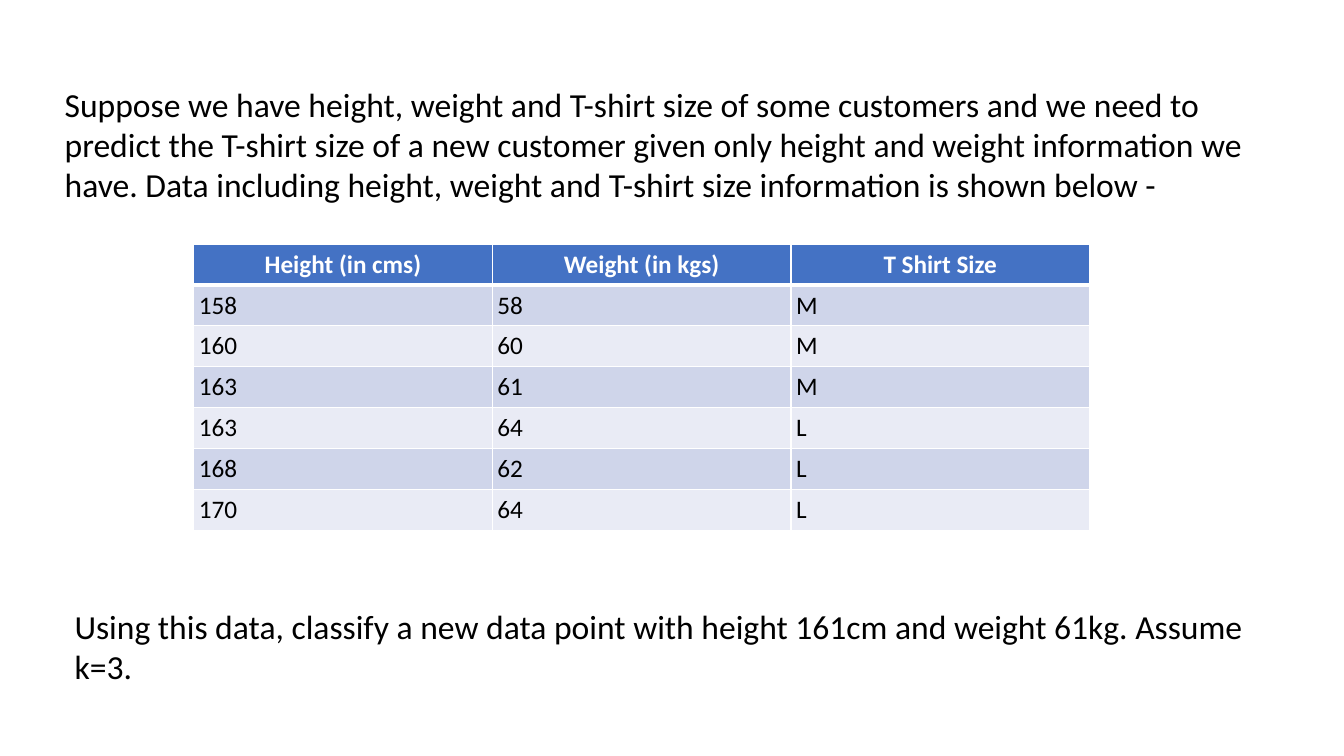
from lxml.etree import SubElement
from pptx import Presentation
from pptx.dml.color import RGBColor
from pptx.enum.text import MSO_ANCHOR, MSO_AUTO_SIZE, PP_ALIGN
from pptx.oxml.ns import qn
from pptx.util import Cm, Pt

INTRO = ("Suppose we have height, weight and T-shirt size of some customers and we need to "
         "predict the T-shirt size of a new customer given only height and weight information "
         "we have. Data including height, weight and T-shirt size information is shown below -")
QUESTION = ("Using this data, classify a new data point with height 161cm and weight 61kg. "
            "Assume k=3.")
CUSTOMERS = [
    ("Height (in cms)", "Weight (in kgs)", "T Shirt Size"),
    (158, 58, "M"),
    (160, 60, "M"),
    (163, 61, "M"),
    (163, 64, "L"),
    (168, 62, "L"),
    (170, 64, "L"),
]
SIDES = ("left", "top", "right", "bottom")
HEADER = {"fill": "4472C4", "color": "FFFFFF", "bold": True, "align": PP_ALIGN.CENTER,
          "margins": (0.03, 0.03, 0.03, 0.03), "bottom": 3}
BODY = {"color": "000000", "bold": False, "align": PP_ALIGN.LEFT,
        "margins": (0.13, 0.08, 0.13, 0.08), "bottom": 1}
BANDS = ("E9EBF5", "CFD5EA")


def rgb(color):
    return RGBColor.from_string(color)


def write(tf, text, size, color, bold=False, align=PP_ALIGN.LEFT):
    p = tf.paragraphs[0]
    p.alignment = align
    r = p.add_run()
    r.text = text
    for name, value in {"name": "Calibri", "size": Pt(size), "bold": bold}.items():
        setattr(r.font, name, value)
    r.font.color.rgb = rgb(color)


def set_margins(target, margins):
    for side, margin in zip(SIDES, margins):
        setattr(target, f"margin_{side}", Cm(margin))


def add_text(s, box, text, margins):
    tf = s.shapes.add_textbox(*map(Cm, box)).text_frame
    for name, value in {"word_wrap": True, "auto_size": MSO_AUTO_SIZE.SHAPE_TO_FIT_TEXT}.items():
        setattr(tf, name, value)
    set_margins(tf, margins)
    write(tf, text, 24, "000000")


def add_borders(cell, bottom):
    tcPr = cell._tc.get_or_add_tcPr()
    for tag, width in (("lnL", 1), ("lnR", 1), ("lnT", 1), ("lnB", bottom)):
        ln = SubElement(tcPr, qn(f"a:{tag}"), w=str(Pt(width)))
        fill = SubElement(ln, qn("a:solidFill"))
        SubElement(fill, qn("a:srgbClr"), val="FFFFFF")


def add_customer_table(s, box, rows):
    left, top, width, height = map(Cm, box)
    table = s.shapes.add_table(len(rows), len(rows[0]), left, top, width, height).table
    for i, values in enumerate(rows):
        look = BODY | {"fill": BANDS[i % 2]} if i else HEADER
        for j, value in enumerate(values):
            cell = table.cell(i, j)
            add_borders(cell, look["bottom"])
            cell.fill.solid()
            cell.fill.fore_color.rgb = rgb(look["fill"])
            cell.vertical_anchor = MSO_ANCHOR.MIDDLE
            set_margins(cell, look["margins"])
            write(cell.text_frame, str(value), 18, look["color"], look["bold"], look["align"])


def add_exercise_slide(prs):
    s = prs.slides.add_slide(prs.slide_layouts[6])
    add_text(s, (1.63, 2.11, 30.61, 3.07), INTRO, (0, 0, 0, 0))
    add_customer_table(s, (4.88, 6.15, 22.58, 7.21), CUSTOMERS)
    add_text(s, (1.63, 15.14, 30.61, 2.31), QUESTION, (0.25, 0.13, 0.25, 0.13))


def main():
    prs = Presentation()
    prs.slide_width, prs.slide_height = Cm(33.87), Cm(19.05)
    add_exercise_slide(prs)
    prs.save("out.pptx")


if __name__ == "__main__":
    main()
